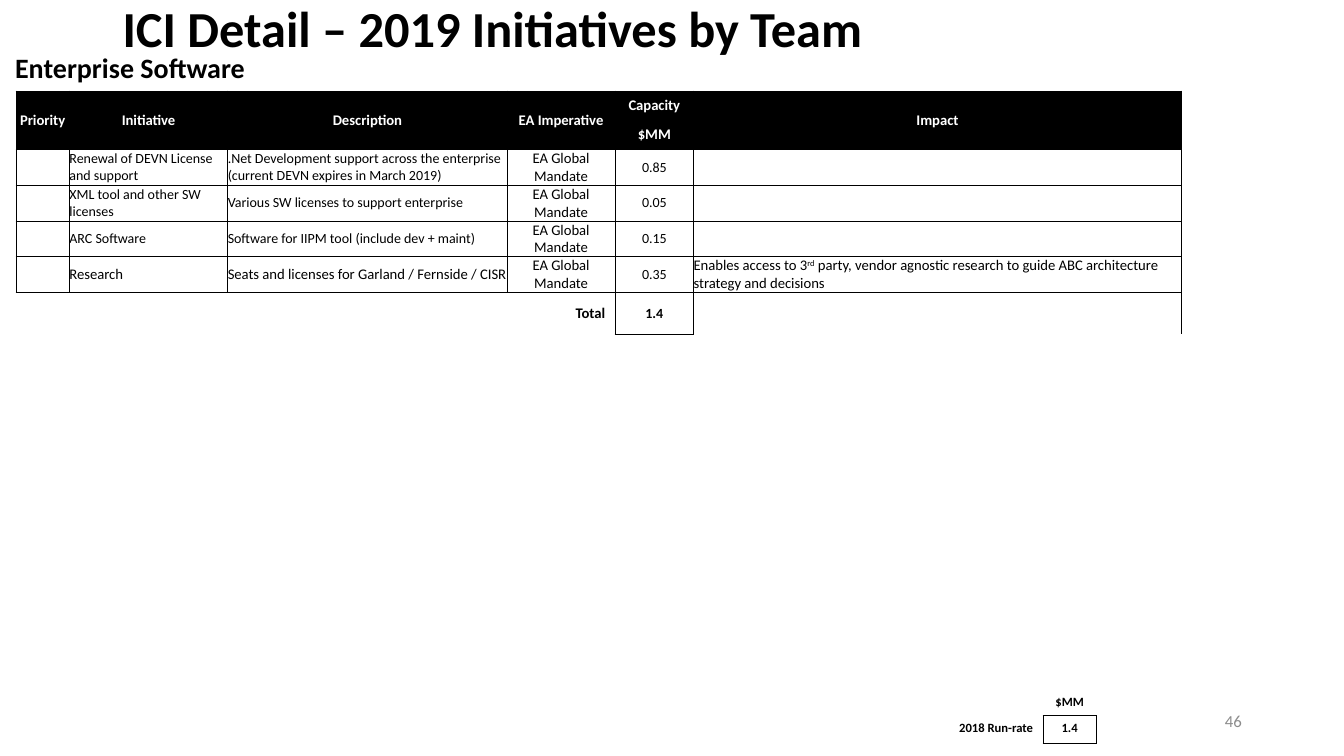
from lxml.etree import SubElement
from pptx import Presentation
from pptx.dml.color import RGBColor
from pptx.enum.text import MSO_ANCHOR, PP_ALIGN
from pptx.oxml.ns import qn
from pptx.util import Cm, Pt

BLACK = RGBColor(0x00, 0x00, 0x00)
WHITE = RGBColor(0xFF, 0xFF, 0xFF)
GREY = RGBColor(0x8C, 0x8C, 0x8C)
FONT = "Calibri"
NO_STYLE = "{2D5ABB26-0587-4C30-8999-92F81FD0307C}"
INSET = Cm(0.25)
LEFT, CENTER, RIGHT = PP_ALIGN.LEFT, PP_ALIGN.CENTER, PP_ALIGN.RIGHT

COLUMN_WIDTHS = [1.35, 3.99, 7.04, 2.72, 1.98, 12.29]
ROW_HEIGHTS = [0.74, 0.74, 0.9, 0.9, 0.9, 0.9, 1.05]
COLUMN_ALIGNMENTS = [CENTER, LEFT, LEFT, CENTER, CENTER, LEFT]
HEADERS = ["Priority", "Initiative", "Description", "EA Imperative", "Capacity", "Impact"]
CAPACITY = HEADERS.index("Capacity")
MANDATE = "EA Global Mandate"
# Each entry: values of one row, then the text sizes of its columns.
INITIATIVES = [
    (["", "Renewal of DEVN License and support",
      ".Net Development support across the enterprise (current DEVN expires in March 2019)",
      MANDATE, "0.85", ""], [10, 10, 10, 10.5, 10, 10]),
    (["", "XML tool and other SW licenses", "Various SW licenses to support enterprise",
      MANDATE, "0.05", ""], [10, 10, 10, 10.5, 10, 10]),
    (["", "ARC Software", "Software for IIPM tool (include dev + maint)",
      MANDATE, "0.15", ""], [10, 10, 10, 10.5, 10, 10]),
    (["", "Research", "Seats and licenses for Garland / Fernside / CISR", MANDATE, "0.35",
      "Enables access to 3^rd^ party, vendor agnostic research to guide ABC architecture "
      "strategy and decisions"], [10, 10.5, 10.5, 10.5, 10, 10.5]),
]


def write_text(frame, text, size=10, color=BLACK, bold=False, align=LEFT, line_spacing=None):
    """Write one paragraph; parts between ^ marks are superscript."""
    paragraph = frame.paragraphs[0]
    paragraph.alignment = align
    if line_spacing:
        paragraph.line_spacing = line_spacing
    if not text:
        paragraph._p.get_or_add_endParaRPr().set("sz", str(int(size * 100)))
        return
    for index, part in enumerate(text.split("^")):
        run = paragraph.add_run()
        run.text = part
        run.font.name = FONT
        run.font.size = Pt(size)
        run.font.bold = bold
        run.font.color.rgb = color
        if index % 2:
            run._r.get_or_add_rPr().set("baseline", "30000")


def add_label(slide, box, text, **text_format):
    shape = slide.shapes.add_textbox(*[Cm(length) for length in box])
    frame = shape.text_frame
    frame.word_wrap = True
    frame.vertical_anchor = MSO_ANCHOR.MIDDLE
    frame.margin_top = frame.margin_bottom = 0
    write_text(frame, text, **text_format)


def add_plain_table(slide, left, top, widths, heights):
    shape = slide.shapes.add_table(len(heights), len(widths), Cm(left), Cm(top),
                                   Cm(sum(widths)), Cm(sum(heights)))
    table = shape.table
    table.first_row = table.horz_banding = False
    table._tbl.tblPr.find(qn("a:tableStyleId")).text = NO_STYLE
    for column, width in zip(table.columns, widths):
        column.width = Cm(width)
    for row, height in zip(table.rows, heights):
        row.height = Cm(height)
    return table


def format_cell(cell, text="", borders="LRTB", fill=None, side_inset=0, end_inset=0,
                anchor=MSO_ANCHOR.MIDDLE, **text_format):
    """Fill in a cell; borders names the sides that carry a line."""
    properties = cell._tc.get_or_add_tcPr()
    for side in borders:
        line = SubElement(properties, qn("a:ln" + side), w=str(Pt(0.5)))
        solid = SubElement(line, qn("a:solidFill"))
        SubElement(solid, qn("a:srgbClr"), val=str(BLACK))
    if fill is None:
        cell.fill.background()
    else:
        cell.fill.solid()
        cell.fill.fore_color.rgb = fill
    cell.margin_left = cell.margin_right = side_inset
    cell.margin_top = cell.margin_bottom = end_inset
    cell.vertical_anchor = anchor
    write_text(cell.text_frame, text, **text_format)


def add_initiatives(slide, left, top):
    table = add_plain_table(slide, left, top, COLUMN_WIDTHS, ROW_HEIGHTS)
    header_format = dict(fill=BLACK, end_inset=Cm(0.13), size=10.5, color=WHITE,
                         bold=True, align=CENTER)
    for column, header in enumerate(HEADERS):
        format_cell(table.cell(0, column), header, **header_format)
        format_cell(table.cell(1, column), "$MM" if column == CAPACITY else "", **header_format)
        if column != CAPACITY:
            table.cell(0, column).merge(table.cell(1, column))
    for row, (values, sizes) in enumerate(INITIATIVES, start=2):
        for column, (value, size) in enumerate(zip(values, sizes)):
            format_cell(table.cell(row, column), value, size=size,
                        align=COLUMN_ALIGNMENTS[column])

    total_row = len(ROW_HEIGHTS) - 1
    for column in range(CAPACITY):
        format_cell(table.cell(total_row, column), "" if column else "Total",
                    borders="RT" if column in (0, CAPACITY - 1) else "T",
                    side_inset=INSET, size=10.5, bold=True, align=RIGHT)
    table.cell(total_row, 0).merge(table.cell(total_row, CAPACITY - 1))
    format_cell(table.cell(total_row, CAPACITY), "1.4", bold=True, align=CENTER)
    format_cell(table.cell(total_row, CAPACITY + 1), borders="LT")


def add_run_rate(slide, left, top):
    table = add_plain_table(slide, left, top, [3.48, 1.35], [0.7, 0.7])
    cells = [
        (0, 0, "", "", RIGHT, MSO_ANCHOR.TOP),
        (0, 1, "$MM", "B", CENTER, MSO_ANCHOR.BOTTOM),
        (1, 0, "2018 Run-rate", "R", RIGHT, MSO_ANCHOR.TOP),
        (1, 1, "1.4", "LRTB", CENTER, MSO_ANCHOR.TOP),
    ]
    for row, column, text, borders, align, anchor in cells:
        format_cell(table.cell(row, column), text, borders=borders, align=align, anchor=anchor,
                    side_inset=INSET, end_inset=Cm(0.13), size=9, bold=True)


def main():
    presentation = Presentation()
    presentation.slide_width = Cm(33.87)
    presentation.slide_height = Cm(19.05)
    slide = presentation.slides.add_slide(presentation.slide_layouts[6])
    add_label(slide, (2.84, 0.05, 31.01, 1.45), "ICI Detail – 2019 Initiatives by Team",
              size=36, bold=True, line_spacing=0.9)
    add_initiatives(slide, 0.4, 2.29)
    add_label(slide, (0.13, 1.47, 33.07, 0.58), "Enterprise Software",
              size=20, bold=True, line_spacing=0.9)
    add_run_rate(slide, 22.8, 17.33)
    add_label(slide, (23.93, 17.65, 7.62, 1.02), "46", size=12, color=GREY, align=RIGHT)
    presentation.save("out.pptx")


if __name__ == "__main__":
    main()
